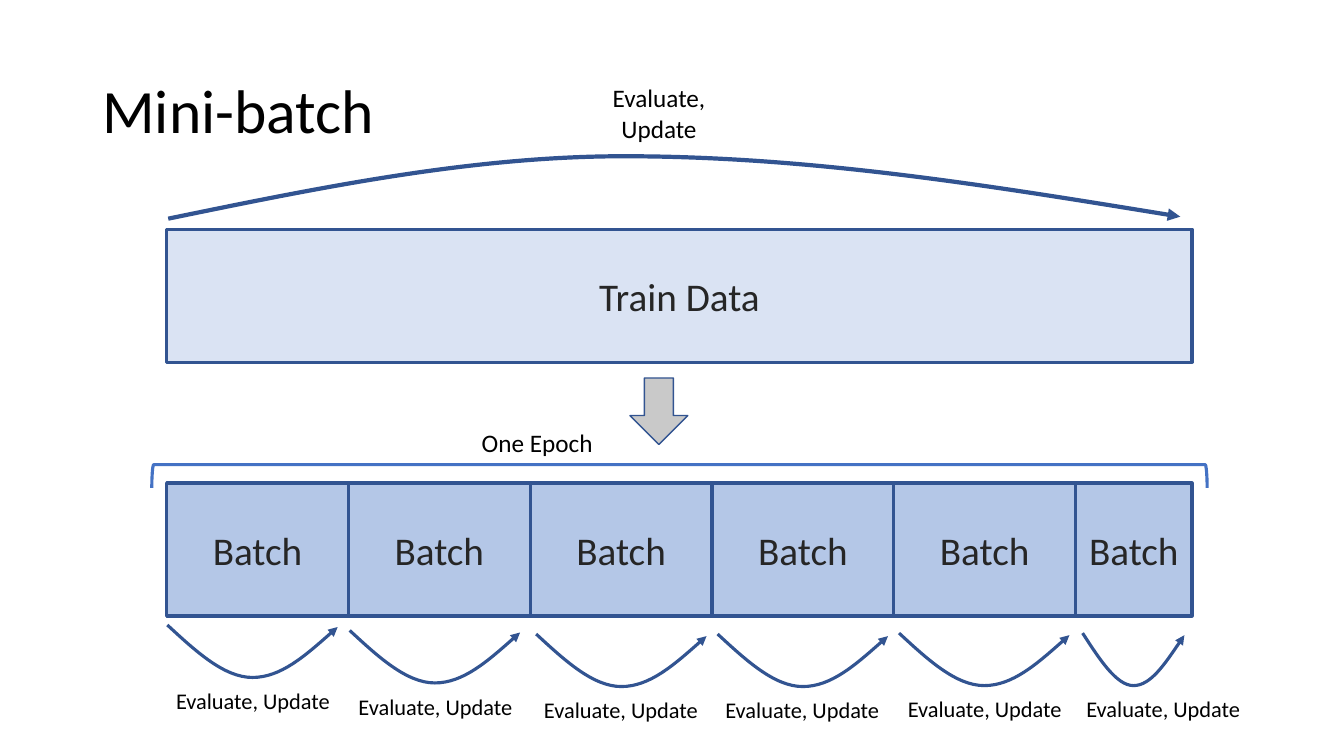
from lxml.etree import SubElement
from pptx import Presentation
from pptx.dml.color import RGBColor
from pptx.enum.shapes import MSO_SHAPE
from pptx.enum.text import MSO_ANCHOR, PP_ALIGN
from pptx.oxml.ns import qn
from pptx.util import Pt

NAVY, BLUE, INK, BLACK = "325491", "4472C4", "262626", "000000"
PALE_BLUE, MID_BLUE, GRAY = "DAE3F3", "B4C7E7", "C9C9C9"

DATA_LEFT, DATA_WIDTH, BAR_HEIGHT = 119, 732.5, 95
BATCH_TOP, BATCH_WIDTH, BATCH_COUNT = 345, 129.85, 6
# Start x, start y and width of each batch's update arc, with its label's centre
UPDATES = [
    (119.5, 446.4, 121.7, 180.7),
    (249.8, 450.3, 121.7, 311),
    (383, 452.9, 121.7, 443.5),
    (512.6, 452.9, 121.7, 573.1),
    (642.2, 452.2, 121.7, 703.4),
    (773.3, 452.2, 72.7, 830.9),
]


def color(hex_code):
    return RGBColor.from_string(hex_code)


def write(frame, text, size, ink, align):
    frame.word_wrap = True
    frame.text = text
    for paragraph in frame.paragraphs:
        paragraph.alignment = align
        paragraph.font.name = "Calibri"
        paragraph.font.size = Pt(size)
        paragraph.font.color.rgb = color(ink)


def add_label(slide, box, text, size, align=PP_ALIGN.CENTER, anchor=MSO_ANCHOR.TOP):
    label = slide.shapes.add_textbox(*map(Pt, box))
    write(label.text_frame, text, size, BLACK, align)
    label.text_frame.vertical_anchor = anchor
    return label


def outline(shape, line, weight, fill=None):
    shape.shadow.inherit = False
    shape.line.color.rgb = color(line)
    shape.line.width = Pt(weight)
    if fill:
        shape.fill.solid()
        shape.fill.fore_color.rgb = color(fill)
    else:
        shape.fill.background()


def add_preset(slide, kind, box, line, weight, fill=None):
    preset = slide.shapes.add_shape(kind, *map(Pt, box))
    outline(preset, line, weight, fill)
    return preset


def add_bar(slide, box, text, fill):
    bar = add_preset(slide, MSO_SHAPE.RECTANGLE, box, NAVY, 2.25, fill)
    write(bar.text_frame, text, 28, INK, PP_ALIGN.CENTER)
    bar.text_frame.vertical_anchor = MSO_ANCHOR.MIDDLE


def add_arc(slide, start, peak, end, weight):
    """Two Bezier halves that meet level at the peak, ending in an arrowhead."""
    (x0, y0), (x1, y1), (x2, y2) = start, peak, end
    points = [
        (x0 + (x1 - x0) / 3, (y0 + y1) / 2), (x1 - (x1 - x0) / 3, y1), peak,
        (x1 + (x2 - x1) / 3, y1), (x2 - (x2 - x1) / 3, (y1 + y2) / 2), end,
    ]
    builder = slide.shapes.build_freeform(Pt(x0), Pt(y0))
    builder.add_line_segments([(Pt(x), Pt(y)) for x, y in points], close=False)
    arc = builder.convert_to_shape()
    outline(arc, NAVY, weight)

    # Turn every three straight segments into one cubic curve
    segments = list(arc._element.iter(qn("a:lnTo")))
    for first in range(0, len(segments), 3):
        curve = SubElement(segments[first].getparent(), qn("a:cubicBezTo"))
        for segment in segments[first:first + 3]:
            curve.append(segment[0])
            segment.getparent().remove(segment)

    SubElement(arc.line._get_or_add_ln(), qn("a:tailEnd"), type="triangle")


def add_update(slide, left, top, width, label_center):
    add_arc(slide, (left, top), (left + width / 2, top + 37.5),
            (left + width, top + 1.5), 2.25)
    add_label(slide, (label_center - 70, top + 41, 140, 26.6), "Evaluate, Update", 16)


def main():
    deck = Presentation()
    deck.slide_width, deck.slide_height = Pt(960), Pt(540)
    slide = deck.slides.add_slide(deck.slide_layouts[6])

    # Title
    title = add_label(slide, (66, 28.75, 828, 104.4), "Mini-batch", 44,
                      PP_ALIGN.LEFT, MSO_ANCHOR.MIDDLE)
    title.text_frame.paragraphs[0].line_spacing = 0.9

    # Whole training set with its single update
    add_bar(slide, (DATA_LEFT, 163.7, DATA_WIDTH, BAR_HEIGHT), "Train Data", PALE_BLUE)
    add_arc(slide, (120.2, 156.2), (445.7, 111.6), (843.1, 154.8), 3)
    add_label(slide, (429, 55.5, 83.5, 51), "Evaluate,\nUpdate", 18)

    # Split into batches; the last takes what remains
    add_preset(slide, MSO_SHAPE.DOWN_ARROW, (450, 270, 41.3, 47.5), NAVY, 1, GRAY)
    for index in range(BATCH_COUNT):
        offset = index * BATCH_WIDTH
        width = min(BATCH_WIDTH, DATA_WIDTH - offset)
        add_bar(slide, (DATA_LEFT + offset, BATCH_TOP, width, BAR_HEIGHT),
                "Batch", MID_BLUE)

    # One update per batch
    for update in UPDATES:
        add_update(slide, *update)

    # Epoch bracket
    bracket = add_preset(slide, MSO_SHAPE.LEFT_BRACKET, (477, -36.7, 16.6, 753.8),
                         BLUE, 2.25)
    bracket.rotation = 90
    add_label(slide, (337, 301.7, 101, 29), "One Epoch", 18, PP_ALIGN.LEFT)

    deck.save("out.pptx")


if __name__ == "__main__":
    main()
